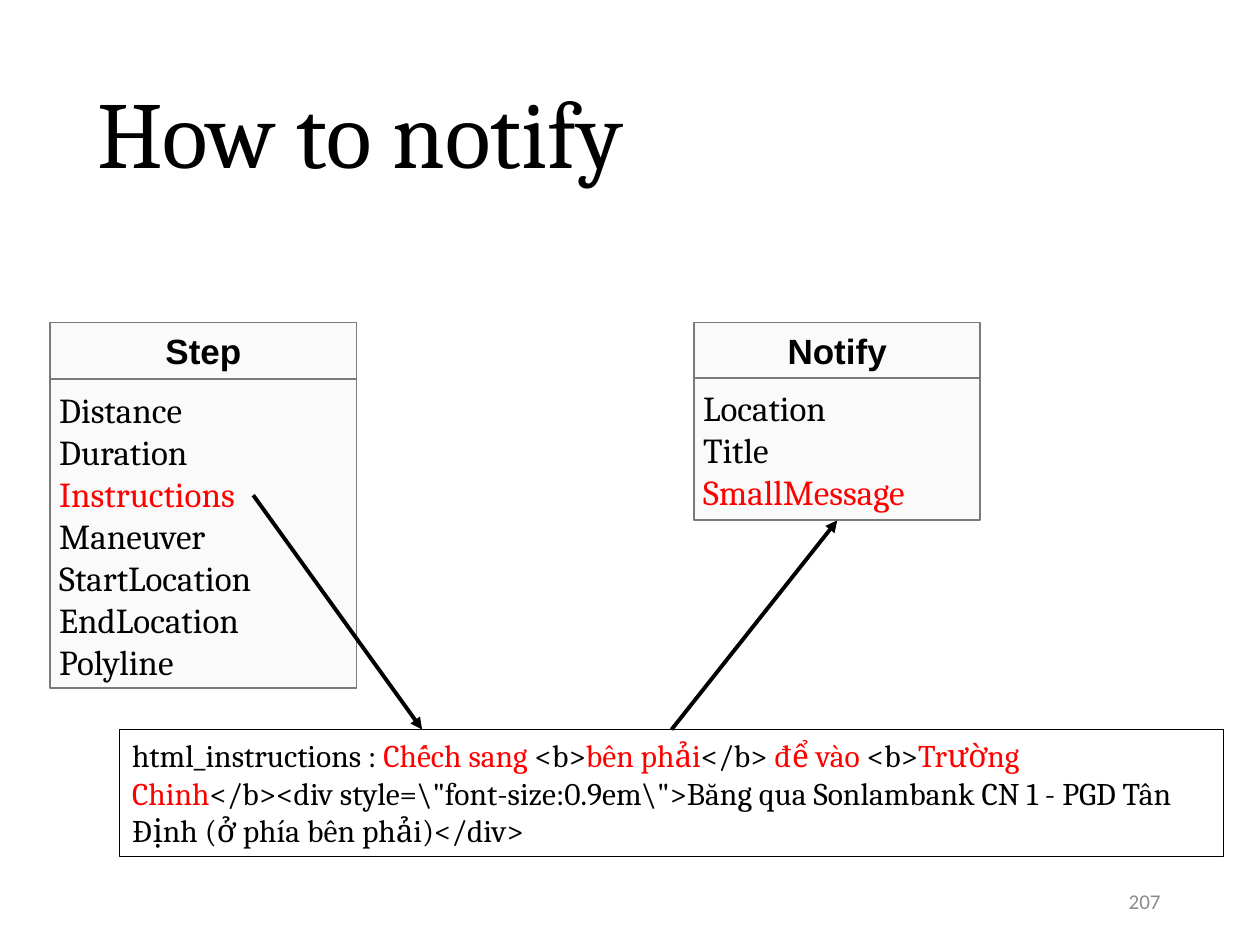
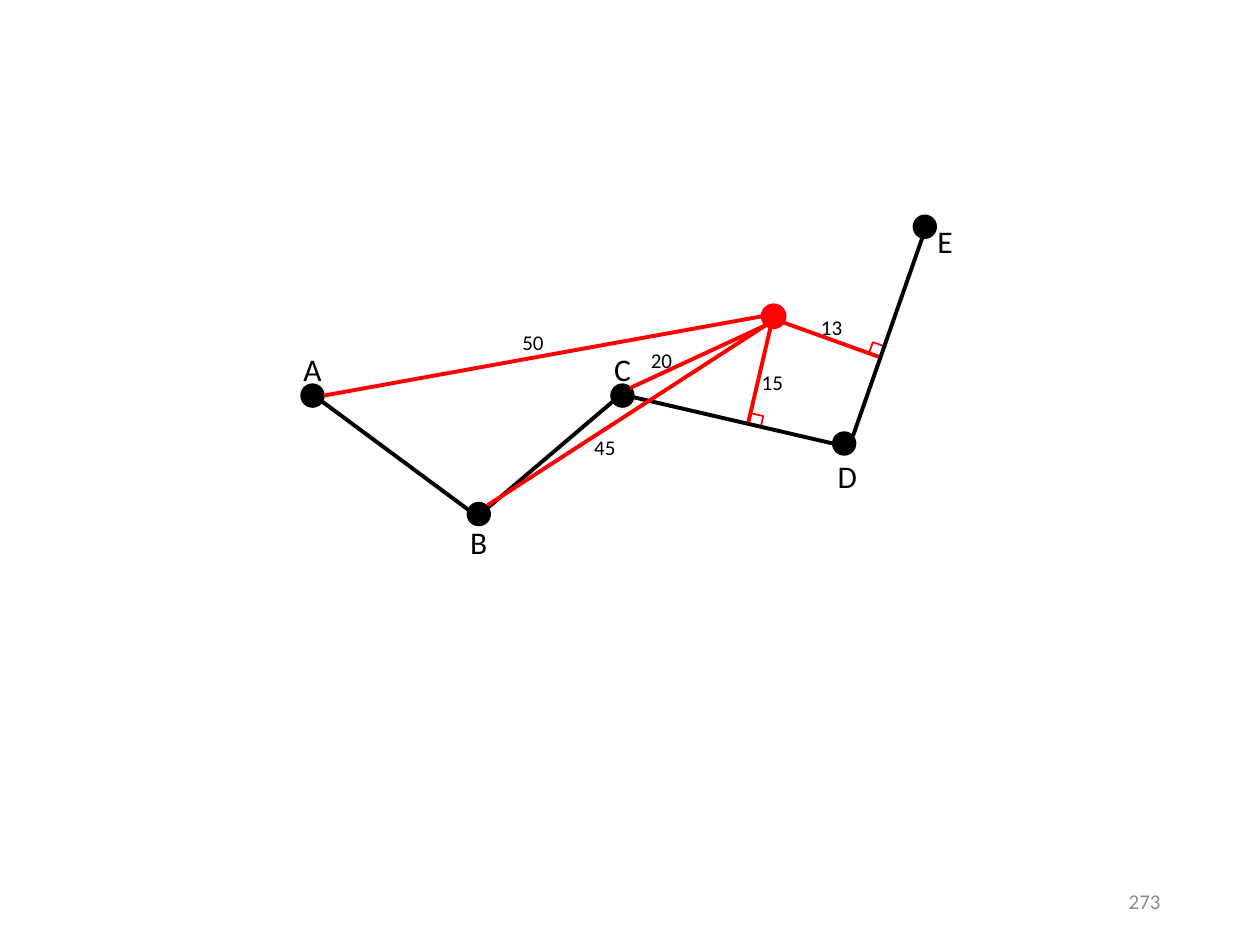
from dataclasses import dataclass

from lxml import etree
from pptx import Presentation
from pptx.dml.color import RGBColor
from pptx.enum.shapes import MSO_CONNECTOR as Link, MSO_SHAPE as Shape
from pptx.enum.text import MSO_ANCHOR as Anchor, MSO_AUTO_SIZE as Fit, PP_ALIGN as Align
from pptx.oxml.ns import qn
from pptx.util import Inches, Pt


@dataclass(frozen=True)
class Theme:
    ink: RGBColor = RGBColor(0, 0, 0)
    accent: RGBColor = RGBColor(255, 0, 0)
    card: RGBColor = RGBColor(0xFA, 0xFA, 0xFA)
    border: RGBColor = RGBColor(0x7A, 0x7A, 0x7A)
    muted: RGBColor = RGBColor(0x8C, 0x8C, 0x8C)
    serif: str = "Cambria"
    sans: str = "Arial"
    plain: str = "Calibri"
    title: int = 54
    card_text: int = 20
    text: int = 18
    small: int = 12
    stroke: float = 2.25


@dataclass(frozen=True)
class Box:
    left: float
    top: float
    width: float
    height: float

    def inches(self):
        return [Inches(v) for v in (self.left, self.top, self.width, self.height)]

    def inside(self, left, top, width, height):
        return Box(self.left + left, self.top + top, width, height)

    def around(self, x, y, width, height):
        return self.inside(x - width / 2, y - height / 2, width, height)


THEME = Theme()


def add_run(para, text, font, size, color=THEME.ink, bold=False):
    run = para.add_run()
    run.text = text
    run.font.name, run.font.size, run.font.bold = font, Pt(size), bold
    run.font.color.rgb = color


def add_preset(shapes, kind, box, fill=None, line=THEME.ink, weight=1):
    shape = shapes.add_shape(kind, *box.inches())
    shape.shadow.inherit = False
    if fill is None:
        shape.fill.background()
    else:
        shape.fill.solid()
        shape.fill.fore_color.rgb = fill
    shape.line.color.rgb = line
    shape.line.width = Pt(weight)
    return shape


def add_line(page, ends, color=THEME.ink, arrow=False):
    line = page.shapes.add_connector(Link.STRAIGHT, *[Inches(v) for v in ends])
    line.line.color.rgb = color
    line.line.width = Pt(THEME.stroke)
    if arrow:
        etree.SubElement(line.line._get_or_add_ln(), qn("a:tailEnd"), type="triangle")
    etree.SubElement(line._element.spPr, qn("a:effectLst"))
    return line


def add_text(page, box, text, size, color=THEME.ink, align=Align.CENTER, wrap=False, anchor=Anchor.TOP):
    frame = page.shapes.add_textbox(*box.inches()).text_frame
    frame.word_wrap = wrap
    frame.vertical_anchor = anchor
    frame.paragraphs[0].alignment = align
    add_run(frame.paragraphs[0], text, THEME.plain, size, color)


def add_page_number(page, number):
    add_text(page, Box(7.06, 6.95, 2.25, 0.4), number, THEME.small, THEME.muted,
             Align.RIGHT, True, Anchor.MIDDLE)


def add_title(page, box, text):
    title = page.shapes.title
    title.left, title.top, title.width, title.height = box.inches()
    frame = title.text_frame
    frame.auto_size = Fit.NONE
    frame.vertical_anchor = Anchor.MIDDLE
    para = frame.paragraphs[0]
    para.alignment = Align.LEFT
    para.line_spacing = 0.9
    add_run(para, text, THEME.serif, THEME.title)


def add_class_card(page, box, header_height, name, fields, highlighted):
    group = page.shapes.add_group_shape()
    body_box = box.inside(0, header_height, box.width, box.height - header_height)
    header_box = box.inside(0, 0, box.width, header_height)
    body, header = [add_preset(group.shapes, Shape.RECTANGLE, part, THEME.card, THEME.border)
                    for part in (body_box, header_box)]
    for shape, anchor in ((body, Anchor.TOP), (header, Anchor.MIDDLE)):
        frame = shape.text_frame
        frame.vertical_anchor = anchor
        frame.word_wrap = True
        frame.margin_left = frame.margin_right = Inches(0.07)
        frame.margin_top = frame.margin_bottom = Inches(0.07)
    para = header.text_frame.paragraphs[0]
    para.alignment = Align.CENTER
    add_run(para, name, THEME.sans, THEME.card_text, bold=True)
    for index, field in enumerate(fields):
        para = body.text_frame.add_paragraph() if index else body.text_frame.paragraphs[0]
        para.alignment = Align.LEFT
        color = THEME.accent if field == highlighted else THEME.ink
        add_run(para, field, THEME.serif, THEME.card_text, color)
    return body


def add_instruction(page, box, spans):
    shape = add_preset(page.shapes, Shape.RECTANGLE, box, weight=0.75)
    frame = shape.text_frame
    frame.word_wrap = True
    frame.auto_size = Fit.SHAPE_TO_FIT_TEXT
    frame.vertical_anchor = Anchor.TOP
    para = frame.paragraphs[0]
    para.alignment = Align.LEFT
    for index, span in enumerate(spans):
        add_run(para, span, THEME.serif, THEME.text, THEME.accent if index % 2 else THEME.ink)
    return shape


def build_notify_page(deck):
    page = deck.slides.add_slide(deck.slide_layouts[5])
    add_title(page, Box(0.67, 0.47, 9, 1.25), "How to notify")
    add_class_card(page, Box(0.4, 2.56, 2.43, 2.9), 0.45, "Step",
                   ["Distance", "Duration", "Instructions", "Maneuver", "StartLocation",
                    "EndLocation", "Polyline"], "Instructions")
    notify = add_class_card(page, Box(5.51, 2.56, 2.27, 1.57), 0.44, "Notify",
                            ["Location", "Title", "SmallMessage"], "SmallMessage")
    add_line(page, (2.01, 3.93, 3.35, 5.79), arrow=True)
    instruction = add_instruction(page, Box(0.95, 5.79, 8.76, 1.01), [
        "html_instructions : ", "Chếch sang ", "<b>", "bên phải", "</b> ", "để vào", " <b>",
        "Trường Chinh",
        "</b><div style=\\\"font-size:0.9em\\\">Băng qua Sonlambank CN 1 - PGD Tân Định "
        "(ở phía bên phải)</div>"])
    arrow = add_line(page, (5.33, 5.79, 6.64, 4.13), arrow=True)
    arrow.begin_connect(instruction, 0)
    arrow.end_connect(notify, 2)
    add_page_number(page, "207")


def add_distance_graph(page, box):
    nodes = {"A": (0.18, 1.44, 0, -0.21), "B": (1.5, 2.38, 0, 0.22), "C": (2.64, 1.44, 0, -0.21),
             "D": (4.4, 1.82, 0.02, 0.26), "E": (5.04, 0.1, 0.16, 0.11)}
    edges = [(0.18, 1.43, 1.49, 2.4), (1.49, 2.4, 2.63, 1.43),
             (2.63, 1.43, 4.31, 1.82), (4.47, 1.76, 5.04, 0.13)]
    distances = [("45", (3.78, 0.88, 1.57, 2.31), (2.5, 1.85)),
                 ("20", (3.78, 0.88, 2.7, 1.38), (2.95, 1.16)),
                 ("50", (3.75, 0.81, 0.27, 1.44), (1.93, 1.02)),
                 ("15", (3.82, 0.88, 3.64, 1.65), (3.83, 1.33)),
                 ("13", (3.92, 0.86, 4.67, 1.13), (4.3, 0.9))]
    right_angles = [(4.61, 1.03, 19.4), (3.65, 1.59, 12.7)]

    def place(ends):
        x1, y1, x2, y2 = ends
        return box.left + x1, box.top + y1, box.left + x2, box.top + y2

    for left, top, angle in right_angles:
        mark = add_preset(page.shapes, Shape.RECTANGLE, box.inside(left, top, 0.1, 0.09),
                          line=THEME.accent)
        mark.rotation = angle
    for ends in edges:
        add_line(page, place(ends))
    for x, y, _, _ in nodes.values():
        add_preset(page.shapes, Shape.OVAL, box.around(x, y, 0.18, 0.18), THEME.ink)
    add_preset(page.shapes, Shape.OVAL, box.around(3.84, 0.81, 0.19, 0.19),
               THEME.accent, THEME.accent)
    for _, ends, _ in distances:
        add_line(page, place(ends), THEME.accent)
    for name, (x, y, dx, dy) in nodes.items():
        add_text(page, box.around(x + dx, y + dy, 0.34, 0.4), name, THEME.text)
    for value, _, (x, y) in distances:
        add_text(page, box.around(x, y, 0.37, 0.3), value, THEME.small)


def build_distance_page(deck):
    page = deck.slides.add_slide(deck.slide_layouts[6])
    add_distance_graph(page, Box(2.3, 1.7, 5.36, 2.8))
    add_page_number(page, "273")


def main():
    deck = Presentation()
    deck.slide_width, deck.slide_height = Inches(10), Inches(7.5)
    build_notify_page(deck)
    build_distance_page(deck)
    deck.save("out.pptx")


if __name__ == "__main__":
    main()
